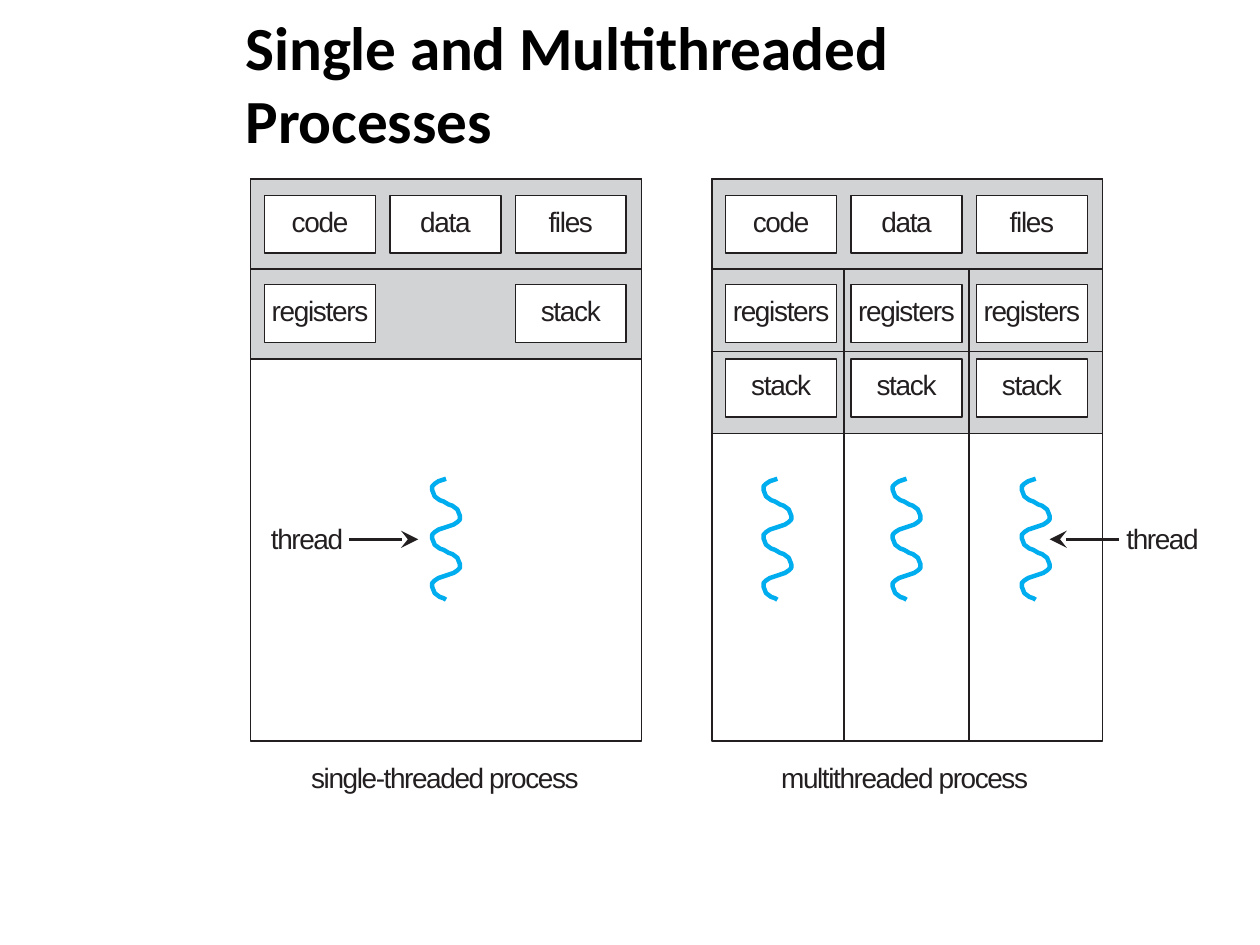
from dataclasses import dataclass

from lxml import etree
from pptx import Presentation
from pptx.dml.color import RGBColor
from pptx.enum.shapes import MSO_CONNECTOR, MSO_SHAPE
from pptx.enum.text import MSO_ANCHOR, MSO_AUTO_SIZE, PP_ALIGN
from pptx.oxml.ns import qn
from pptx.util import Emu, Inches, Pt

RECT = MSO_SHAPE.RECTANGLE
STRAIGHT = MSO_CONNECTOR.STRAIGHT
TOP, MIDDLE = MSO_ANCHOR.TOP, MSO_ANCHOR.MIDDLE
LEFT, CENTER = PP_ALIGN.LEFT, PP_ALIGN.CENTER
GROW = MSO_AUTO_SIZE.SHAPE_TO_FIT_TEXT

COLUMNS, ROWS = 100, 75
TITLE_ONLY = 5


@dataclass(frozen=True)
class Theme:
    """Colours, fonts, type sizes and line widths."""
    black: str = "000000"
    ink: str = "231F20"
    grey: str = "D1D3D4"
    white: str = "FFFFFF"
    thread: str = "00AEEF"
    title_font: str = "Calibri"
    label_font: str = "Arial"
    title_size: float = 35
    label_size: float = 16
    thin: float = 0.85
    arrow: float = 1.81
    wave: float = 2.56


def write(sp, text, *, font, size, color, bold=False, spacing=0.0,
          align=LEFT, anchor=TOP, inset=0.0, before=0.0):
    """Put one formatted paragraph into a shape."""
    tf = sp.text_frame
    tf.word_wrap = True
    tf.auto_size = GROW
    tf.vertical_anchor = anchor
    tf.margin_left = tf.margin_right = tf.margin_bottom = 0
    tf.margin_top = Inches(inset)
    p = tf.paragraphs[0]
    p.alignment = align
    p.space_before = Pt(before)
    r = p.add_run()
    r.text = text
    r.font.name, r.font.size, r.font.bold = font, Pt(size), bold
    r.font.color.rgb = RGBColor.from_string(color)
    r.font._element.set("spc", str(round(spacing * 100)))


class Deck:
    """Holds the theme and the current slide, and draws in grid units."""

    def __init__(self, prs, theme):
        """Start a slide and measure its grid."""
        self.theme = theme
        self.slide = prs.slides.add_slide(prs.slide_layouts[TITLE_ONLY])
        self.shapes = self.slide.shapes
        self.column = prs.slide_width / COLUMNS
        self.row = prs.slide_height / ROWS

    def place(self, *lengths):
        """Turn alternating columns and rows into slide lengths."""
        units = (self.column, self.row)
        return [Emu(round(n * units[i % 2])) for i, n in enumerate(lengths)]

    def stroke(self, line, color, width):
        """Set the colour and width of a line."""
        line.color.rgb = RGBColor.from_string(color)
        line.width = Pt(width)

    def title(self, text, *box):
        """Fill and move the title placeholder."""
        sp, t = self.shapes.title, self.theme
        sp.left, sp.top, sp.width, sp.height = self.place(*box)
        write(sp, text, font=t.title_font, size=t.title_size, color=t.black,
              bold=True, spacing=-0.1, anchor=MIDDLE, inset=0.01, before=1)

    def label(self, text, *box):
        """Add a free-standing label."""
        sp, t = self.shapes.add_textbox(*self.place(*box)), self.theme
        write(sp, text, font=t.label_font, size=t.label_size, color=t.ink,
              spacing=-0.8, inset=0.02, before=1.2)

    def rect(self, *box, fill=None):
        """Add an outlined rectangle."""
        sp = self.shapes.add_shape(RECT, *self.place(*box))
        sp.shadow.inherit = False
        if fill:
            sp.fill.solid()
            sp.fill.fore_color.rgb = RGBColor.from_string(fill)
        else:
            sp.fill.background()
        self.stroke(sp.line, self.theme.ink, self.theme.thin)
        return sp

    def cell(self, text, *box):
        """Add a white box with a centred label."""
        t = self.theme
        write(self.rect(*box, fill=t.white), text, font=t.label_font,
              size=t.label_size, color=t.ink, spacing=-0.75,
              align=CENTER, inset=0.07, before=4.7)

    def line(self, *ends, arrow=False):
        """Add a straight line, with an arrowhead on request."""
        sp, t = self.shapes.add_connector(STRAIGHT, *self.place(*ends)), self.theme
        self.stroke(sp.line, t.ink, t.arrow if arrow else t.thin)
        if arrow:
            etree.SubElement(sp.line._get_or_add_ln(), qn("a:tailEnd"),
                             type="stealth", w="lg", len="lg")
        etree.SubElement(sp._element.spPr, qn("a:effectLst"))

    def wave(self, x, y, bulges=5, pitch=1.92):
        """Add a thread as bulges that alternate left and right."""
        left = [(0, 0), (-0.6, 0.2), (-0.9, 0.4), (-1.1, 0.6), (-1.1, 0.9),
                (-0.9, 1.4), (-0.5, 1.7), (-0.2, 1.8), (0, pitch)]
        right = [(-dx, pitch - dy) for dx, dy in reversed(left)]
        points = [self.place(x + dx, y + i * pitch + dy)
                  for i in range(bulges)
                  for dx, dy in (right if i % 2 else left)]
        builder = self.shapes.build_freeform(*points[0])
        builder.add_line_segments(points[1:], close=False)
        sp = builder.convert_to_shape()
        sp.shadow.inherit = False
        sp.fill.background()
        self.stroke(sp.line, self.theme.thread, self.theme.wave)

    def process(self, x, shaded, cells, rules, waves):
        """Add a process panel with its cells, rules and threads."""
        top, width, height = 14.2, 31, 44.6
        self.rect(x, top, width, shaded, fill=self.theme.grey)
        self.rect(x, top, width, height)
        for x1, y1, x2, y2 in rules:
            self.line(x + x1, top + y1, x + x2, top + y2)
        for names, y in zip(cells, (15.5, 22.6, 28.5)):
            for i, name in enumerate(names):
                if name:
                    self.cell(name, x + 1.1 + i * 9.95, y, 8.8, 4.6)
        for dx in waves:
            self.wave(x + dx, 38)


def main():
    """Build and save the slide."""
    prs = Presentation()
    prs.slide_width, prs.slide_height = Inches(10), Inches(7.5)
    deck = Deck(prs, Theme())
    shared = ("code", "data", "files")
    below_shared = (0, 7.15, 31, 7.15)

    deck.title("Single and Multithreaded Processes", 19.5, 3.5, 69.3, 6)
    deck.process(19.9, 14.3, [shared, ("registers", None, "stack")],
                 [below_shared], [15.5])
    deck.process(56.5, 20.2, [shared, ("registers",) * 3, ("stack",) * 3],
                 [below_shared, (0, 13.7, 31, 13.7),
                  (10.5, 7.15, 10.5, 44.6), (20.4, 7.15, 20.4, 44.6)],
                 [5.2 + i * 10.25 for i in range(3)])

    deck.line(27.7, 42.8, 33.2, 42.8, arrow=True)
    deck.line(88.8, 42.8, 83.3, 42.8, arrow=True)
    for text, x, y, width in [("thread", 21.5, 41.2, 5.8),
                              ("thread", 89.4, 41.2, 6),
                              ("single-threaded process", 24.7, 60.2, 21.7),
                              ("multithreaded process", 62, 60.2, 20)]:
        deck.label(text, x, y, width, 3)
    prs.save("out.pptx")


main()
